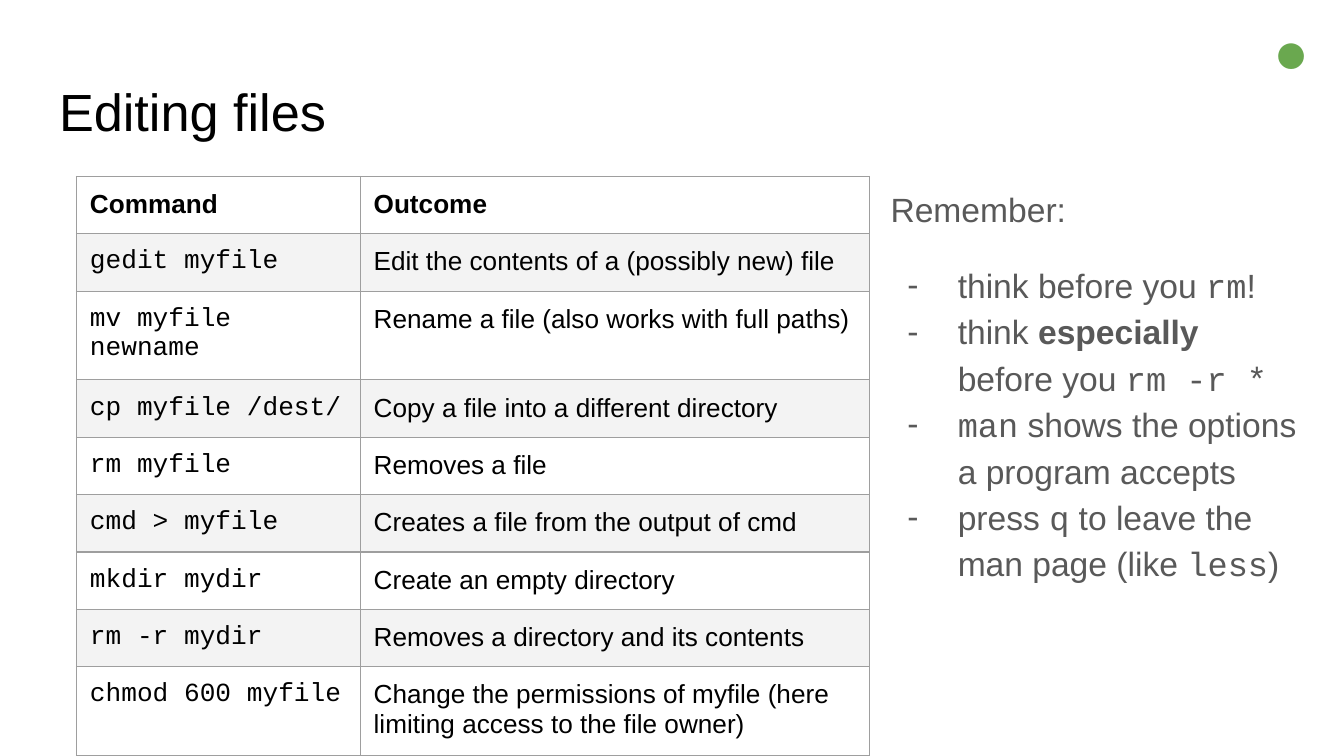
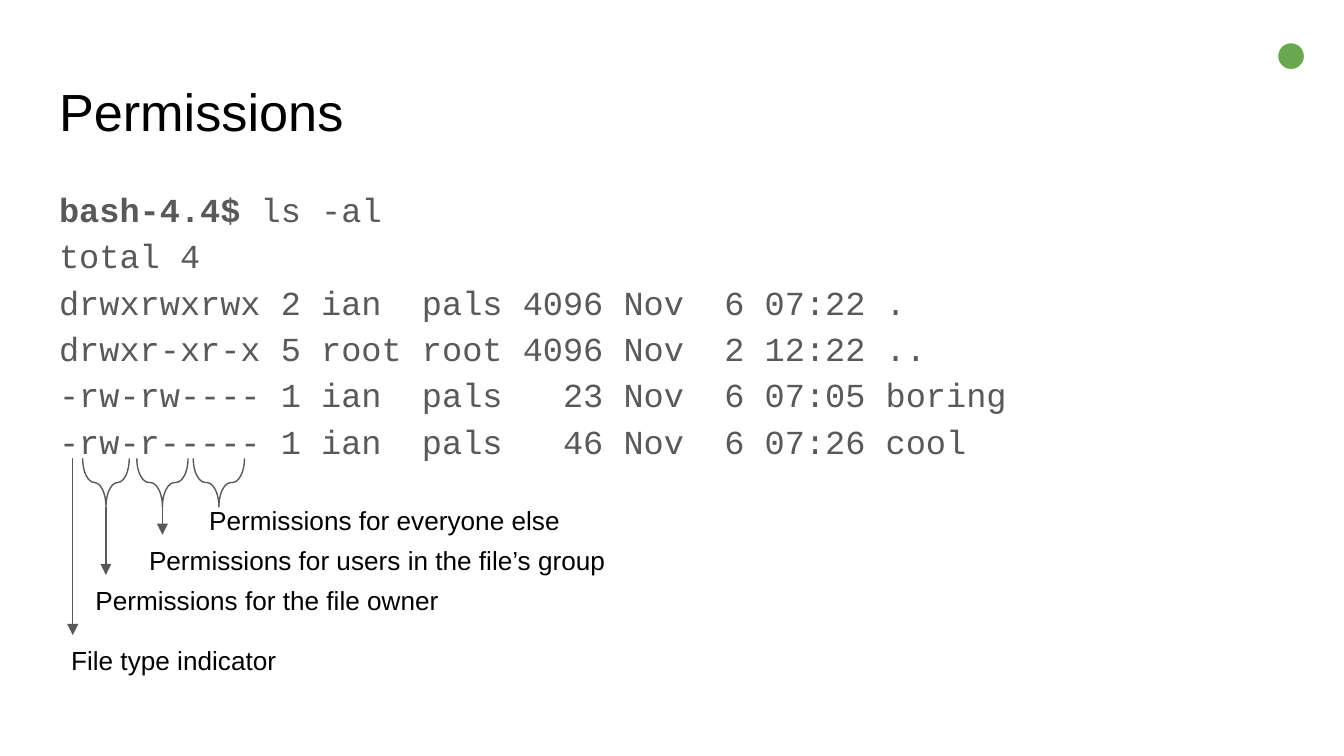
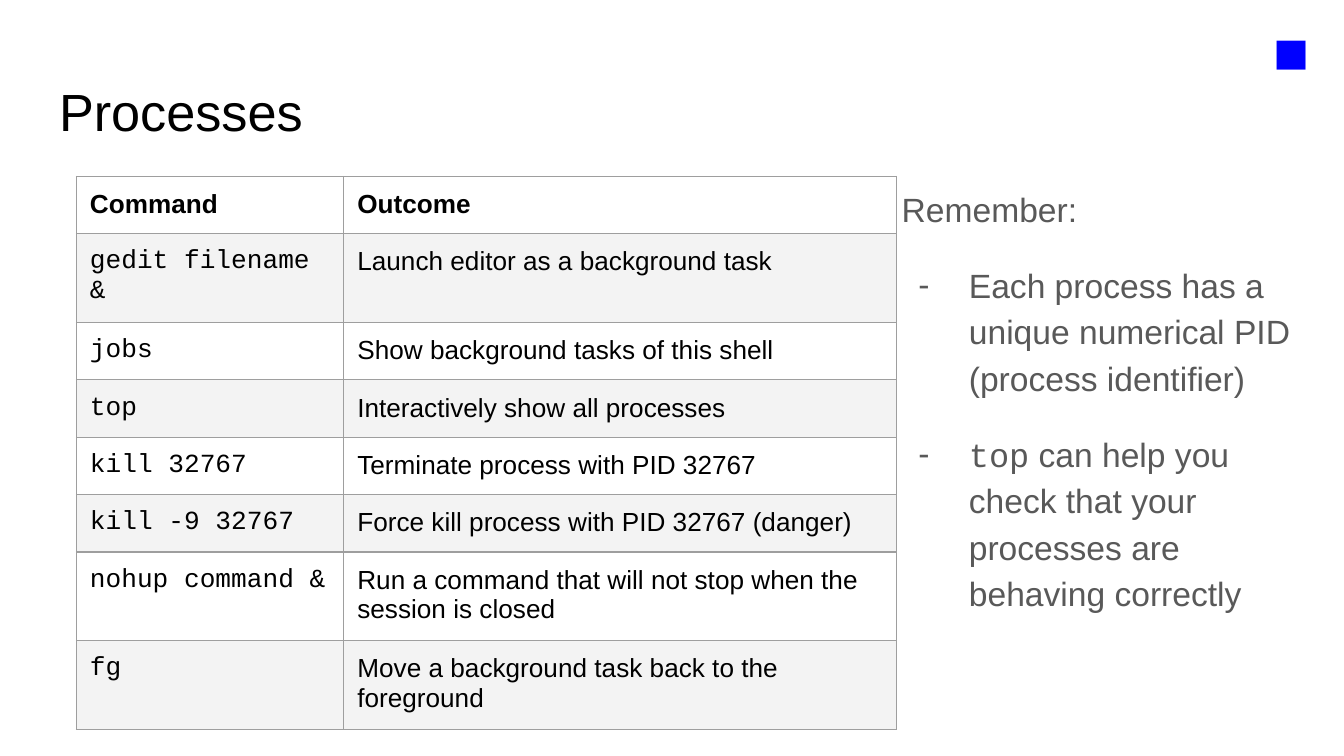
"""Build three slides on shell commands, file permissions and processes."""
from lxml import etree
from pptx import Presentation
from pptx.dml.color import RGBColor
from pptx.enum.shapes import MSO_CONNECTOR, MSO_SHAPE
from pptx.enum.text import MSO_ANCHOR, MSO_AUTO_SIZE, PP_ALIGN
from pptx.oxml.ns import qn
from pptx.util import Pt

STRAIGHT = MSO_CONNECTOR.STRAIGHT
BRACE = MSO_SHAPE.RIGHT_BRACE
TOP = MSO_ANCHOR.TOP
CENTER = PP_ALIGN.CENTER
GROW = MSO_AUTO_SIZE.SHAPE_TO_FIT_TEXT

BLACK, GREY, WHITE = "000000", "595959", "FFFFFF"
BAND, BORDER = "F3F3F3", "9E9E9E"
GREEN, BLUE = "6AA84F", "0000FF"
INSET, CELL_BOTTOM = 7.2, 6.7
PLAIN_TABLE = "{2D5ABB26-0587-4C30-8999-92F81FD0307C}"

FORMATS = {
    "plain": {"name": "Arial", "bold": False},
    "bold": {"name": "Arial", "bold": True},
    "code": {"name": "Courier New", "bold": False},
    "prompt": {"name": "Courier New", "bold": True},
}
CELL_SPACING = {"line_spacing": 1.0, "space_before": Pt(0), "space_after": Pt(0)}

TITLE_AT = (24.55, 35.25, 671, 45)
MARK_AT = (663.5, 0, 56.5, 53.25)
BODY_TOP, BODY_HEIGHT, NOTES_RIGHT = 90.75, 269.25, 703.5
TABLE_LEFT, TABLE_TOP, TABLE_HEIGHT, ROW_HEIGHT = 41, 94.5, 236.25, 29.75
HEADER = ("Command", "Outcome")

FILE_ROWS = [
    ("gedit myfile", "Edit the contents of a (possibly new) file"),
    ("mv myfile newname", "Rename a file (also works with full paths)"),
    ("cp myfile /dest/", "Copy a file into a different directory"),
    ("rm myfile", "Removes a file"),
    ("cmd > myfile", "Creates a file from the output of cmd"),
    ("mkdir mydir", "Create an empty directory"),
    ("rm -r mydir", "Removes a directory and its contents"),
    ("chmod 600 myfile",
     "Change the permissions of myfile (here limiting access to the file owner)"),
]
FILE_NOTES = [
    [("think before you ", "plain"), ("rm", "code"), ("!", "plain")],
    [("think ", "plain"), ("especially", "bold"), (" before you ", "plain"),
     ("rm -r *", "code")],
    [("man", "code"), (" shows the options a program accepts", "plain")],
    [("press ", "plain"), ("q", "code"),
     (" to leave the man page (like ", "plain"), ("less", "code"), (")", "plain")],
]
PROCESS_ROWS = [
    ("gedit filename &", "Launch editor as a background task"),
    ("jobs", "Show background tasks of this shell"),
    ("top", "Interactively show all processes"),
    ("kill 32767", "Terminate process with PID 32767"),
    ("kill -9 32767", "Force kill process with PID 32767 (danger)"),
    ("nohup command &", "Run a command that will not stop when the session is closed"),
    ("fg", "Move a background task back to the foreground"),
]
PROCESS_NOTES = [
    [("Each process has a unique numerical PID (process identifier)", "plain")],
    [("top", "code"),
     (" can help you check that your processes are behaving correctly", "plain")],
]
LISTING = [
    "total 4",
    "drwxrwxrwx 2 ian  pals 4096 Nov  6 07:22 .",
    "drwxr-xr-x 5 root root 4096 Nov  2 12:22 ..",
    "-rw-rw---- 1 ian  pals   23 Nov  6 07:05 boring",
    "-rw-r----- 1 ian  pals   46 Nov  6 07:26 cool",
]
LABELS = {
    "owner": ("Permissions for the file owner", 44, 306, 273),
    "everyone": ("Permissions for everyone else", 105, 263, 252),
    "group": ("Permissions for users in the file’s group", 72.75, 284.5, 273),
    "type": ("File type indicator", 31, 338.25, 273),
}
BRACE_LENGTHS = [25, 27.5, 27.5]
BRACE_DEPTH, BRACE_TOP, BRACE_STEP, FIRST_BRACE = 26, 245.5, 30.25, 56.75
TYPE_X, ARROW_OVERLAP = 39, 2


def color(value):
    return RGBColor.from_string(value)


def add_tag(parent, tag, **attributes):
    return etree.SubElement(parent, qn(tag), attributes)


def set_attributes(target, values):
    for name, value in values.items():
        setattr(target, name, value)


def place(left, top, width, height):
    return Pt(left), Pt(top), Pt(width), Pt(height)


def set_margins(target, bottom=INSET):
    for side in ("left", "top", "right"):
        setattr(target, f"margin_{side}", Pt(INSET))
    target.margin_bottom = Pt(bottom)


def add_span(para, text, style, size, ink):
    span = para.add_run()
    span.text = text
    set_attributes(span.font, {**FORMATS[style], "size": Pt(size)})
    span.font.color.rgb = color(ink)


def add_text(page, at, text="", size=14, ink=BLACK):
    box = page.shapes.add_textbox(*place(*at))
    frame = box.text_frame
    set_attributes(frame, {"word_wrap": True, "vertical_anchor": TOP})
    set_margins(frame)
    if text:
        add_span(frame.paragraphs[0], text, "plain", size, ink)
    return frame


def add_page(deck, title, mark, ink):
    page = deck.slides.add_slide(deck.slide_layouts[6])
    add_text(page, TITLE_AT, title, 28)
    frame = add_text(page, MARK_AT, mark, 32, ink)
    frame.auto_size = GROW
    frame.paragraphs[0].alignment = CENTER
    return page


def add_bullet(para):
    props = para._p.get_or_add_pPr()
    props.set("marL", str(Pt(36)))
    props.set("indent", str(Pt(-27)))
    add_tag(add_tag(props, "a:buClr"), "a:srgbClr", val=GREY)
    add_tag(props, "a:buFont", typeface="Arial")
    add_tag(props, "a:buChar", char="-")


def add_notes(page, left, notes, spaced):
    at = (left, BODY_TOP, NOTES_RIGHT - left, BODY_HEIGHT)
    frame = add_text(page, at, "Remember:", 18, GREY)
    frame.paragraphs[0].line_spacing = 1.15
    for index, spans in enumerate(notes):
        para = frame.add_paragraph()
        before = 16 if spaced or index == 0 else 0
        set_attributes(para, {"line_spacing": 1.15, "space_before": Pt(before)})
        add_bullet(para)
        for text, style in spans:
            add_span(para, text, style, 18, GREY)


def add_borders(cell):
    props = cell._tc.get_or_add_tcPr()
    for index, side in enumerate(("a:lnL", "a:lnR", "a:lnT", "a:lnB")):
        line = etree.Element(qn(side), {"w": str(Pt(0.75))})
        add_tag(add_tag(line, "a:solidFill"), "a:srgbClr", val=BORDER)
        props.insert(index, line)


def fill_cell(cell, text, style, background):
    set_margins(cell, CELL_BOTTOM)
    para = cell.text_frame.paragraphs[0]
    set_attributes(para, CELL_SPACING)
    add_span(para, text, style, 14, BLACK)
    add_tag(para._p, "a:endParaRPr", sz="1400")
    cell.fill.solid()
    cell.fill.fore_color.rgb = color(background)
    add_borders(cell)


def add_commands(page, widths, rows):
    lines = [HEADER, *rows]
    at = place(TABLE_LEFT, TABLE_TOP, sum(widths), TABLE_HEIGHT)
    holder = page.shapes.add_table(len(lines), len(widths), *at)
    table = holder.table
    set_attributes(table, {"first_row": False, "horz_banding": False})
    table._tbl.tblPr.find(qn("a:tableStyleId")).text = PLAIN_TABLE
    for column, width in zip(table.columns, widths):
        column.width = Pt(width)
    for row, texts in enumerate(lines):
        table.rows[row].height = Pt(ROW_HEIGHT)
        styles = ("code", "plain") if row else ("bold", "bold")
        for column, (text, style) in enumerate(zip(texts, styles)):
            fill_cell(table.cell(row, column), text, style, BAND if row % 2 else WHITE)
    holder.height = Pt(TABLE_HEIGHT)


def set_line(shape):
    shape.line.color.rgb = color(GREY)
    shape.line.width = Pt(0.75)


def add_brace(page, center, length):
    left = center - BRACE_DEPTH / 2
    top = BRACE_TOP + (BRACE_DEPTH - length) / 2
    brace = page.shapes.add_shape(BRACE, *place(left, top, BRACE_DEPTH, length))
    brace.rotation = 90
    brace.adjustments[0] = 0.25
    brace.shadow.inherit = False
    brace.fill.background()
    set_line(brace)


def add_arrow(page, x, top, label):
    bottom = LABELS[label][2] + ARROW_OVERLAP
    arrow = page.shapes.add_connector(STRAIGHT, *place(x, top, x, bottom))
    set_line(arrow)
    add_tag(arrow.line._get_or_add_ln(), "a:tailEnd", type="triangle")
    add_tag(arrow._element.spPr, "a:effectLst")


def add_listing(page):
    frame = add_text(page, (TITLE_AT[0], BODY_TOP, TITLE_AT[2], BODY_HEIGHT))
    para = frame.paragraphs[0]
    para.line_spacing = 1.15
    add_span(para, "bash-4.4$", "prompt", 18, GREY)
    add_span(para, " ls -al", "code", 18, GREY)
    for text in LISTING:
        para.add_line_break()
        add_span(para, text, "code", 18, GREY)


def add_permissions(page):
    add_listing(page)
    centers = [FIRST_BRACE + BRACE_STEP * i for i in range(len(BRACE_LENGTHS))]
    for center, length in zip(centers, BRACE_LENGTHS):
        add_brace(page, center, length)
    for text, left, top, width in LABELS.values():
        add_text(page, (left, top, width, 35.25), text)
    add_arrow(page, TYPE_X, BRACE_TOP, "type")
    for center, label in zip(centers, ("owner", "group")):
        add_arrow(page, center, BRACE_TOP + BRACE_DEPTH, label)


def main():
    deck = Presentation()
    set_attributes(deck, {"slide_width": Pt(720), "slide_height": Pt(405)})

    files = add_page(deck, "Editing files", "●", GREEN)
    add_notes(files, 470, FILE_NOTES, False)
    add_commands(files, (152, 273), FILE_ROWS)

    add_permissions(add_page(deck, "Permissions", "●", GREEN))

    processes = add_page(deck, "Processes", "■", BLUE)
    add_notes(processes, 476, PROCESS_NOTES, True)
    add_commands(processes, (143.25, 296), PROCESS_ROWS)

    deck.save("out.pptx")


if __name__ == "__main__":
    main()
